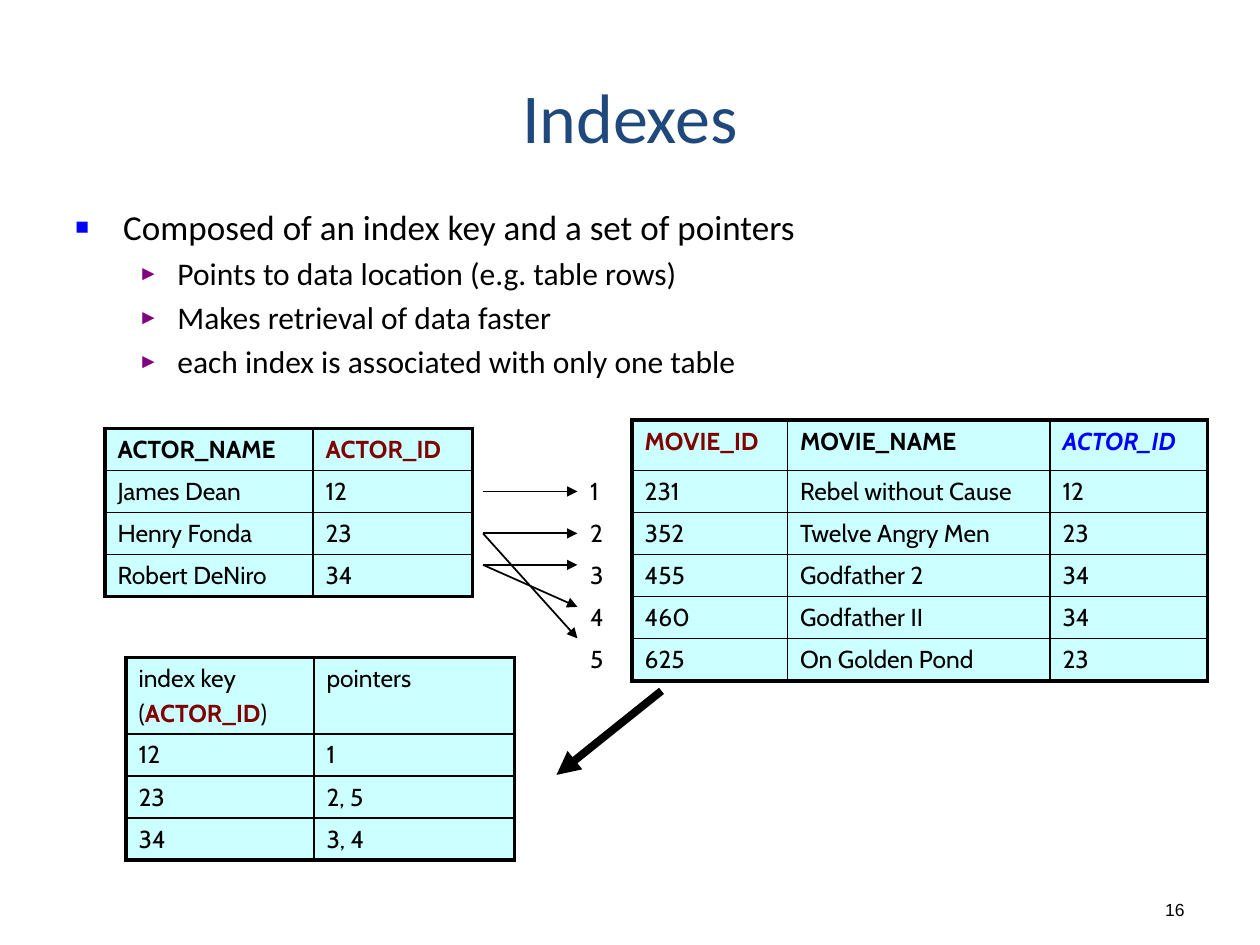
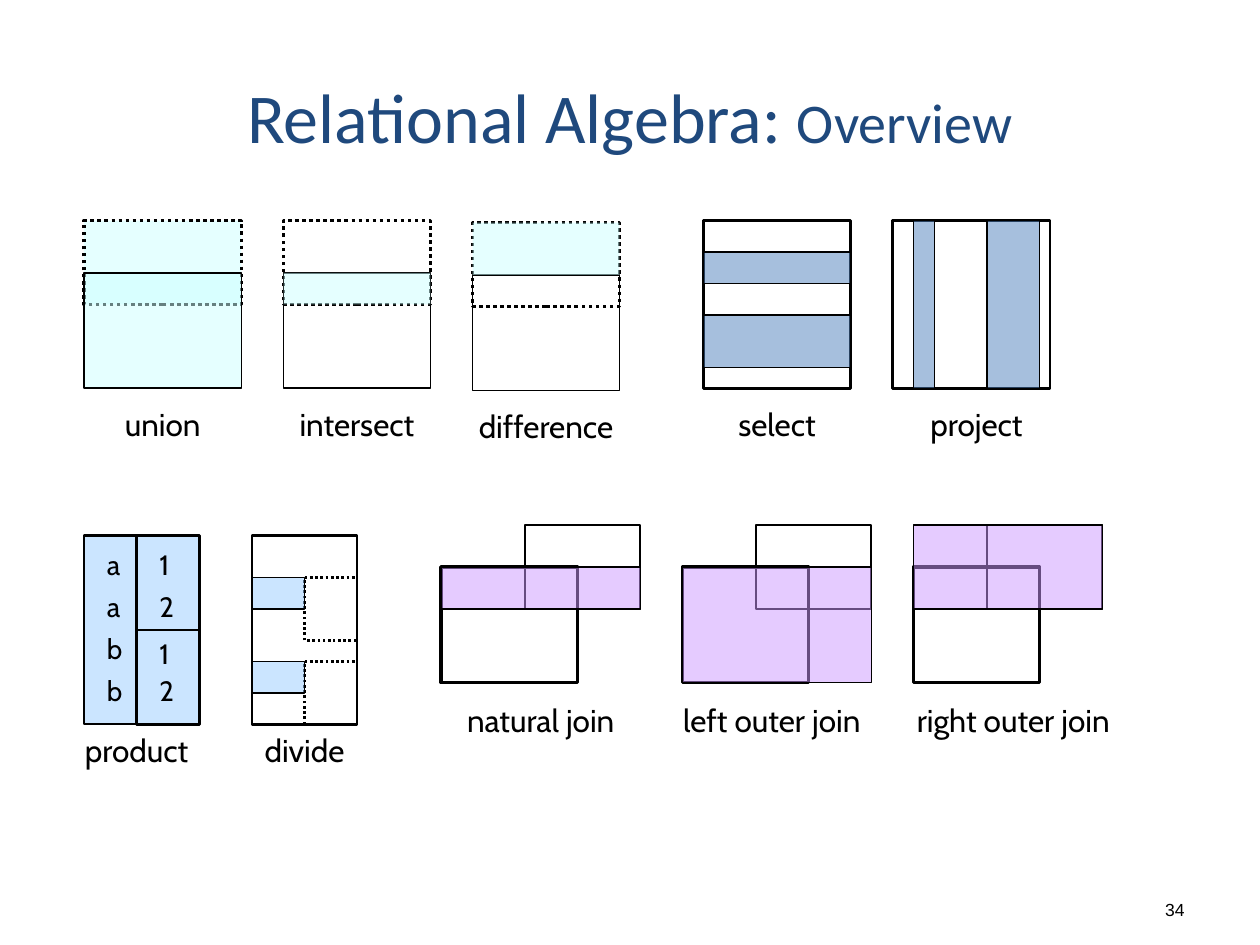
"""Build two database slides: indexes and an overview of relational algebra."""
from lxml import etree
from pptx import Presentation
from pptx import util as u
from pptx.dml.color import RGBColor
from pptx.enum import dml, shapes, text
from pptx.oxml import ns

BLACK = RGBColor(0, 0, 0)
NAVY = RGBColor(0x1F, 0x49, 0x7D)
MAROON = RGBColor(0x80, 0, 0)
BLUE = RGBColor(0, 0, 0xFF)
PURPLE = RGBColor(0x80, 0, 0x80)
AQUA = RGBColor(0xCC, 0xFF, 0xFF)
STEEL = RGBColor(0x4F, 0x81, 0xBD)
LILAC = RGBColor(0xCC, 0x99, 0xFF)
SKY = RGBColor(0x99, 0xCC, 0xFF)

GRID_COLS, GRID_ROWS = 120, 90
CELL = u.Inches(10) / GRID_COLS
NO_TABLE_STYLE = "{2D5ABB26-0587-4C30-8999-92F81FD0307C}"
LEFT, CENTER, RIGHT = text.PP_ALIGN.LEFT, text.PP_ALIGN.CENTER, text.PP_ALIGN.RIGHT
TOP, MIDDLE, BOTTOM = (text.MSO_ANCHOR.TOP, text.MSO_ANCHOR.MIDDLE,
                       text.MSO_ANCHOR.BOTTOM)


def grid(*units):
    """Turn grid units into EMU lengths."""
    return [u.Emu(round(n * CELL)) for n in units]


def sub(parent, tag, **attrs):
    """Append a drawing element with the given attributes."""
    return etree.SubElement(parent, ns.qn(tag), attrs)


def style(font, size=None, name=None, color=None, bold=None, italic=None):
    """Set those font properties that are given."""
    if size:
        font.size = u.Pt(size)
    if name:
        font.name = name
    if color is not None:
        font.color.rgb = color
    font.bold, font.italic = bold, italic


def write(tf, paragraphs, size, name="Cabin", color=BLACK, align=LEFT):
    """Write paragraphs, each a string or a list of (text, font changes) runs."""
    for i, content in enumerate(paragraphs):
        p = tf.paragraphs[0] if i == 0 else tf.add_paragraph()
        p.alignment = align
        if i:
            p.space_before = u.Pt(size * 0.2)
        runs = [(content, {})] if isinstance(content, str) else content
        shared = runs[0][1] if len(runs) == 1 else {}
        style(p.font, **{"size": size, "name": name, "color": color, **shared})
        for words, changes in runs:
            r = p.add_run()
            r.text = words
            if changes and len(runs) > 1:
                style(r.font, **changes)


def textbox(slide, box, paragraphs, size, anchor=TOP, **look):
    """Add a wrapping text box and return its text frame."""
    tf = slide.shapes.add_textbox(*grid(*box)).text_frame
    tf.word_wrap = True
    tf.vertical_anchor = anchor
    write(tf, paragraphs, size, **look)
    return tf


def new_slide(prs, title, number):
    """Add a slide with the shared title and page number."""
    slide = prs.slides.add_slide(prs.slide_layouts[6])
    textbox(slide, (109, 85, 5, 3.2), [number], 10, BOTTOM, name="Arial", align=RIGHT)
    textbox(slide, (6, 5, 108, 12), [title], 40, MIDDLE,
            name="Calibri", color=NAVY, align=CENTER)
    return slide


def bullet(p, char, color, margin, hang, size):
    """Give a paragraph a hanging coloured bullet."""
    style(p.font, size=size)
    p.space_before = u.Pt(size * 0.2)
    pPr = p._p.get_or_add_pPr()
    pPr.set("marL", str(u.Inches(margin)))
    pPr.set("indent", str(-u.Inches(hang)))
    marks = [etree.Element(ns.qn(tag)) for tag in ("a:buClr", "a:buSzPct", "a:buFont", "a:buChar")]
    sub(marks[0], "a:srgbClr", val=str(color))
    marks[1].set("val", "65000")
    marks[2].set("typeface", "Arial")
    marks[3].set("char", char)
    font_defaults = pPr.find(ns.qn("a:defRPr"))
    for mark in marks:
        font_defaults.addprevious(mark)


def borders(cell, edges):
    """Draw the left, right, top and bottom borders, thick on the outside."""
    tcPr = cell._tc.get_or_add_tcPr()
    for i, (side, outer) in enumerate(zip("LRTB", edges)):
        ln = etree.Element(ns.qn("a:ln" + side), w=str(u.Pt(2.25 if outer else 1)))
        sub(sub(ln, "a:solidFill"), "a:srgbClr", val=str(BLACK))
        tcPr.insert(i, ln)


def data_table(slide, corner, widths, rows, header_height=4, label_cols=0):
    """Add a framed aqua table; leading label columns stay plain."""
    heights = [header_height] + [4] * (len(rows) - 1)
    table = slide.shapes.add_table(
        len(rows), len(widths), *grid(*corner, sum(widths), sum(heights))).table
    table.first_row = table.horz_banding = False
    table._tbl.tblPr.find(ns.qn("a:tableStyleId")).text = NO_TABLE_STYLE
    for col, width in zip(table.columns, grid(*widths)):
        col.width = width
    for row, height in zip(table.rows, grid(*heights)):
        row.height = height
    for y, row in enumerate(rows):
        for x, content in enumerate(row):
            cell = table.cell(y, x)
            write(cell.text_frame, content if isinstance(content, list) else [content], 14)
            if x < label_cols:
                cell.fill.background()
                continue
            cell.fill.solid()
            cell.fill.fore_color.rgb = AQUA
            borders(cell, (x == label_cols, x == len(widths) - 1,
                           y == 0, y == len(rows) - 1))


def arrow(slide, start, end, width=1):
    """Draw a straight black arrow."""
    line = slide.shapes.add_connector(
        shapes.MSO_CONNECTOR.STRAIGHT, *grid(*start, *end))
    line.line.color.rgb = BLACK
    line.line.width = u.Pt(width)
    sub(line.line._get_or_add_ln(), "a:tailEnd", type="triangle")
    sub(line._element.spPr, "a:effectLst")


def rect(slide, box, line=1, fill=None, dotted=False):
    """Add a rectangle with a half-transparent fill or none."""
    sp = slide.shapes.add_shape(shapes.MSO_SHAPE.RECTANGLE, *grid(*box))
    sp.shadow.inherit = False
    if fill is None:
        sp.fill.background()
    else:
        sp.fill.solid()
        sp.fill.fore_color.rgb = fill
        sub(sp._element.spPr.find(".//" + ns.qn("a:srgbClr")), "a:alpha", val="50000")
    if line:
        sp.line.color.rgb = BLACK
        sp.line.width = u.Pt(line)
        if dotted:
            sp.line.dash_style = dml.MSO_LINE.ROUND_DOT
    else:
        sp.line.fill.background()


def caption(slide, x, y, width, words):
    """Write a centred operator name."""
    textbox(slide, (x, y, width, 4.8), [words], 18, align=CENTER)


def set_operation(slide, x, y, width, fill=None):
    """Draw two overlapping relations, the upper one dotted."""
    rect(slide, (x, y, width, 8), 2, fill, dotted=True)
    rect(slide, (x, y + 5, width, 11), 1, fill)


def join(slide, x, width, right_x, result):
    """Draw two overlapping relations and the joined area."""
    rect(slide, (x, 54, width, 11), 2)
    rect(slide, (right_x, 50, 11, 8), 1.25)
    rect(slide, result, 1, LILAC)


def heading(words, color=BLACK, italic=None):
    """Return a bold table heading."""
    return [[(words, {"color": color, "bold": True, "italic": italic})]]


def indexes_slide(prs):
    """Build the slide on index keys and pointers."""
    slide = new_slide(prs, "Indexes", "16")
    body = textbox(slide, (6, 19, 108, 28), [
        "Composed of an index key and a set of pointers",
        "Points to data location (e.g. table rows)",
        "Makes retrieval of data faster",
        "each index is associated with only one table"], 20, name="Calibri")
    first, *details = body.paragraphs
    bullet(first, "■", BLUE, 0.38, 0.38, 20)
    for p in details:
        p.level = 1
        bullet(p, "►", PURPLE, 0.81, 0.31, 18)

    data_table(slide, (10, 40.8), (19.8, 15.2), [
        (heading("ACTOR_NAME"), heading("ACTOR_ID", MAROON)),
        ("James Dean", "12"), ("Henry Fonda", "23"), ("Robert DeNiro", "34")])
    data_table(slide, (55, 40), (5.2, 14.8, 25, 15), [
        ("", heading("MOVIE_ID", MAROON), heading("MOVIE_NAME"),
         heading("ACTOR_ID", BLUE, True)),
        ("1", "231", "Rebel without Cause", "12"),
        ("2", "352", "Twelve Angry Men", "23"),
        ("3", "455", "Godfather 2", "34"),
        ("4", "460", "Godfather II", "34"),
        ("5", "625", "On Golden Pond", "23")], label_cols=1)
    key = [("(", {}), ("ACTOR_ID", {"color": MAROON, "bold": True}), (")", {})]
    data_table(slide, (12, 62.6), (17.9, 19.1), [
        (["index key", key], "pointers"),
        ("12", "1"), ("23", "2, 5"), ("34", "3, 4")], header_height=7.3)

    for start, end in ((46.8, 46.8), (50.8, 50.8), (50.8, 60.8),
                       (53.8, 53.8), (53.8, 57.8)):
        arrow(slide, (46, start), (55, end))
    arrow(slide, (63, 65.8), (53, 73.8), 4.5)


def algebra_slide(prs):
    """Build the slide that sketches each relational operator."""
    title = [("Relational Algebra: ", {}), ("Overview", {"size": 32})]
    slide = new_slide(prs, title, "34")

    set_operation(slide, 8, 21, 15, AQUA)
    set_operation(slide, 27, 21, 14)
    rect(slide, (27, 26, 14, 3), 0, AQUA)
    set_operation(slide, 45, 21.2, 14)
    rect(slide, (45, 21.2, 14, 5), 0, AQUA)

    rect(slide, (67, 21, 14, 16), 1.25)
    for y, height in ((24, 3), (30, 5)):
        rect(slide, (67, y, 14, height), 1, STEEL)
    rect(slide, (85, 21, 15, 16), 1.25)
    for x, width in ((87, 2), (94, 5)):
        rect(slide, (x, 21, width, 16), 1, STEEL)

    for box in ((8, 51, 5, 18), (13, 51, 6, 9), (13, 60, 6, 9)):
        rect(slide, box, 1.25, SKY)
    for x, letters, tops in ((9, "aabb", (51.6, 55.6, 59.6, 63.6)),
                             (14, "1212", (51.6, 55.6, 60, 63.6))):
        for letter, y in zip(letters, tops):
            textbox(slide, (x, y, 3, 4.4), [letter], 16)

    rect(slide, (24, 51, 10, 18), 1.5)
    for y in (55, 63):
        rect(slide, (29, y, 5, 6), 1.5, dotted=True)
        rect(slide, (24, y, 5, 3), 1, SKY)

    join(slide, 42, 13, 50, (42, 54, 19, 4))
    join(slide, 65, 12, 72, (65, 54, 18, 11))
    join(slide, 87, 12, 94, (87, 50, 18, 8))

    for label in ((10, 38, 11, "union"), (27, 38, 14, "intersect"),
                  (44, 38.2, 16, "difference"), (67, 38, 14, "select"),
                  (86, 38, 14, "project"), (6, 69, 14, "product"),
                  (22, 69, 14, "divide"), (42, 66.2, 19, "natural join"),
                  (63, 66.2, 21, "left outer join"),
                  (85, 66.2, 23, "right outer join")):
        caption(slide, *label)


def main():
    """Create and save the presentation."""
    prs = Presentation()
    prs.slide_width, prs.slide_height = grid(GRID_COLS, GRID_ROWS)
    indexes_slide(prs)
    algebra_slide(prs)
    prs.save("out.pptx")


if __name__ == "__main__":
    main()
